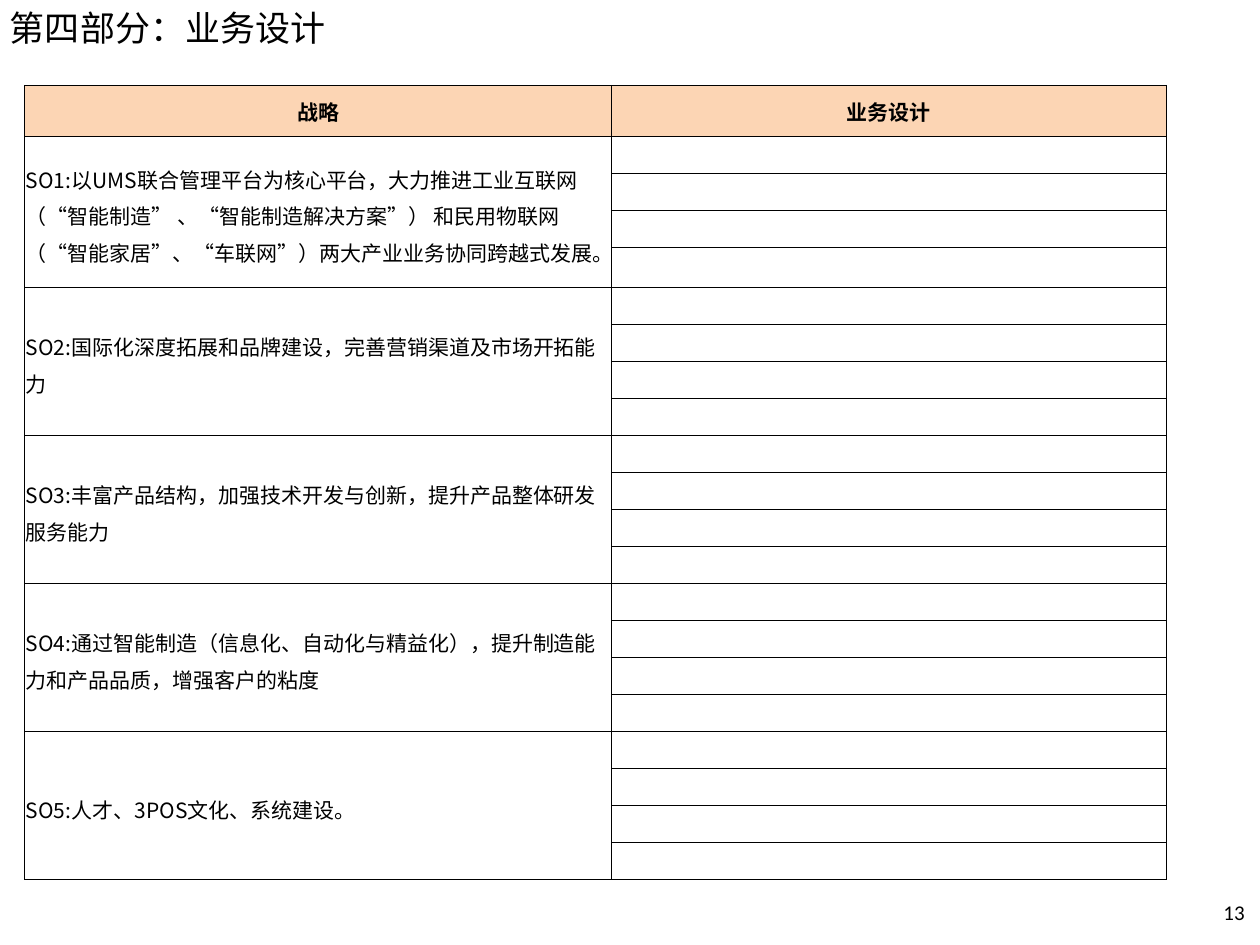
"""Build the business design slide: strategies beside open design rows."""
from lxml import etree
from pptx import Presentation
from pptx.dml.color import RGBColor
from pptx.enum import text
from pptx.oxml import ns
from pptx.util import Pt

TITLE = "第四部分：业务设计"
HEADERS = ["战略", "业务设计"]
STRATEGIES = [
    "SO1:以UMS联合管理平台为核心平台，大力推进工业互联网（“智能制造” 、“智能制造解决方案”） "
    "和民用物联网（“智能家居”、“车联网”）两大产业业务协同跨越式发展。",
    "SO2:国际化深度拓展和品牌建设，完善营销渠道及市场开拓能力",
    "SO3:丰富产品结构，加强技术开发与创新，提升产品整体研发服务能力",
    "SO4:通过智能制造（信息化、自动化与精益化），提升制造能力和产品品质，增强客户的粘度",
    "SO5:人才、3POS文化、系统建设。",
]
PAGE = "13"

BLACK = RGBColor(0x00, 0x00, 0x00)
WHITE = RGBColor(0xFF, 0xFF, 0xFF)
PEACH = RGBColor(0xFC, 0xD5, 0xB4)
LATIN, CJK = "Calibri", "Noto Sans CJK SC"

SPAN = 4
COLS = [335.4, 316.8]
HEADER_H, ROW_H, TALL_ROW_H = 29.15, 21.15, 22.9
ROWS = [HEADER_H] + [ROW_H] * (SPAN * len(STRATEGIES))
ROWS[SPAN] = TALL_ROW_H


def write(tf, words, size=12, font=CJK, bold=False, align=text.PP_ALIGN.LEFT, spacing=None):
    p = tf.paragraphs[0]
    p.alignment = align
    p.line_spacing = spacing
    r = p.add_run()
    r.text = words
    r.font.size = Pt(size)
    r.font.name = font
    r.font.bold = bold
    r.font.color.rgb = BLACK
    etree.SubElement(r.font._element, ns.qn("a:ea"), typeface=CJK)


def add_label(s, words, left, top, width, height, anchor, **fmt):
    tf = s.shapes.add_textbox(Pt(left), Pt(top), Pt(width), Pt(height)).text_frame
    tf.word_wrap = True
    tf.vertical_anchor = anchor
    write(tf, words, **fmt)


def style_cell(cell, color):
    cell.fill.solid()
    cell.fill.fore_color.rgb = color
    cell.vertical_anchor = text.MSO_ANCHOR.MIDDLE
    cell.margin_left = cell.margin_right = cell.margin_top = Pt(0.75)
    cell.margin_bottom = Pt(0)
    tc_pr = cell._tc.get_or_add_tcPr()
    for i, side in enumerate(("lnL", "lnR", "lnT", "lnB")):
        ln = etree.Element(ns.qn(f"a:{side}"), w=str(Pt(0.5)))
        fill = etree.SubElement(ln, ns.qn("a:solidFill"))
        etree.SubElement(fill, ns.qn("a:srgbClr"), val=str(BLACK))
        tc_pr.insert(i, ln)


def add_strategy_table(s):
    frame = s.shapes.add_table(len(ROWS), len(COLS), Pt(14.1), Pt(48.7), Pt(sum(COLS)), Pt(sum(ROWS)))
    table = frame.table
    table.first_row = table.horz_banding = False
    for col, width in zip(table.columns, COLS):
        col.width = Pt(width)
    for row, height in zip(table.rows, ROWS):
        row.height = Pt(height)
    for i, row in enumerate(table.rows):
        for cell in row.cells:
            style_cell(cell, WHITE if i else PEACH)
    for j, words in enumerate(HEADERS):
        write(table.cell(0, j).text_frame, words, bold=True, align=text.PP_ALIGN.CENTER)
    for k, words in enumerate(STRATEGIES):
        top = 1 + SPAN * k
        cell = table.cell(top, 0)
        cell.merge(table.cell(top + SPAN - 1, 0))
        write(cell.text_frame, words, spacing=1.2)
    for cell in table.iter_cells():
        if not cell.text:
            p = cell.text_frame.paragraphs[0]
            etree.SubElement(p._p, ns.qn("a:endParaRPr"), sz="1200")


def main():
    prs = Presentation()
    prs.slide_width, prs.slide_height = Pt(720), Pt(540)
    s = prs.slides.add_slide(prs.slide_layouts[6])
    add_label(s, PAGE, 682.5, 507, 45.4, 28.8, text.MSO_ANCHOR.MIDDLE,
              font=LATIN, align=text.PP_ALIGN.CENTER)
    add_strategy_table(s)
    add_label(s, TITLE, -1.4, 0, 714.2, 31.5, text.MSO_ANCHOR.TOP, size=20, font=LATIN)
    prs.save("out.pptx")


if __name__ == "__main__":
    main()
